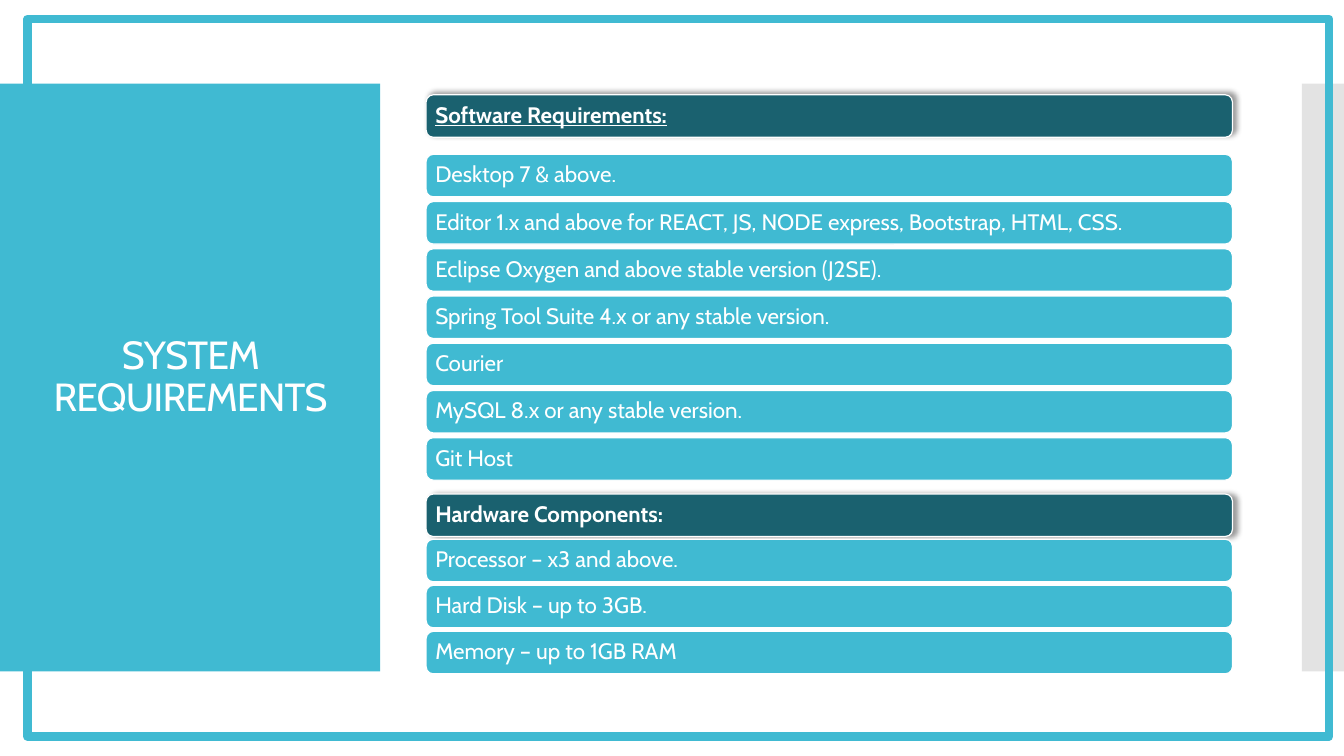
from collections import namedtuple
from dataclasses import dataclass

from lxml import etree
from pptx import Presentation
from pptx import util as u
from pptx.dml import color
from pptx.enum import shapes, text
from pptx.oxml import ns

Box = namedtuple("Box", "left top width height")
Group = namedtuple("Group", "heading underline shadow_angle box first_row pitch rows")


@dataclass(frozen=True)
class Theme:
    """Colours, typeface and sizes of the slide."""
    accent: str = "40BAD2"
    heading: str = "1A616F"
    edge: str = "C8C8C8"
    light: str = "FFFFFF"
    shadow: str = "000000"
    face: str = "Cabin"
    title_size: float = 28
    row_size: float = 16
    outline: float = 0.85
    frame: float = 6


THEME = Theme()

SOFTWARE = Group(
    "Software Requirements:", True, 315, Box(10.74, 2.39, 20.32, 1.07), 1.5, 1.19,
    ["Desktop 7 & above.",
     "Editor 1.x and above for REACT, JS, NODE express, Bootstrap, HTML, CSS.",
     "Eclipse Oxygen and above stable version (J2SE).",
     "Spring Tool Suite 4.x or any stable version.",
     "Courier",
     "MySQL 8.x or any stable version.",
     "Git Host"])
HARDWARE = Group(
    "Hardware Components:", False, 0, Box(10.74, 12.45, 20.32, 1.07), 1.14, 1.16,
    ["Processor – x3 and above.",
     "Hard Disk – up to 3GB.",
     "Memory – up to 1GB RAM"])


def rgb(value):
    """Return a colour object for a hex value."""
    return color.RGBColor.from_string(value)


def cm(box):
    """Return the four lengths of a box given in centimetres."""
    return [u.Cm(length) for length in box]


def add_block(slide, box, fill, kind=shapes.MSO_SHAPE.RECTANGLE):
    """Add a filled shape without outline or shadow."""
    block = slide.shapes.add_shape(kind, *cm(box))
    block.shadow.inherit = False
    block.fill.solid()
    block.fill.fore_color.rgb = rgb(fill)
    block.line.fill.background()
    return block


def format_text(paragraph, size):
    """Set the common type style on a paragraph."""
    paragraph.line_spacing = 0.9
    paragraph.font.name = THEME.face
    paragraph.font.size = u.Pt(size)
    paragraph.font.color.rgb = rgb(THEME.light)


def cast_shadow(bar, angle):
    """Give a heading bar a soft shadow in the given direction."""
    effects = bar.element.spPr.find(ns.qn("a:effectLst"))
    shadow = etree.SubElement(
        effects, ns.qn("a:outerShdw"), blurRad=str(u.Pt(4)), dist=str(u.Pt(3)),
        dir=str(angle * 60000), algn="ctr", rotWithShape="0")
    tint = etree.SubElement(shadow, ns.qn("a:srgbClr"), val=THEME.shadow)
    etree.SubElement(tint, ns.qn("a:alpha"), val="40000")


def add_bar(slide, box, wording, fill):
    """Add one rounded bar with its line of text."""
    bar = add_block(slide, box, fill, shapes.MSO_SHAPE.ROUNDED_RECTANGLE)
    bar.line.color.rgb = rgb(THEME.light)
    bar.line.width = u.Pt(THEME.outline)
    frame = bar.text_frame
    frame.word_wrap = True
    frame.vertical_anchor = text.MSO_ANCHOR.MIDDLE
    frame.margin_left = frame.margin_right = u.Cm(0.18)
    frame.margin_top = frame.margin_bottom = u.Cm(0.18)
    line = frame.paragraphs[0]
    line.text = wording
    line.alignment = text.PP_ALIGN.LEFT
    format_text(line, THEME.row_size)
    return bar


def add_group(slide, group):
    """Add a heading bar and evenly spaced requirement bars below it."""
    heading = add_bar(slide, group.box, group.heading, THEME.heading)
    font = heading.text_frame.paragraphs[0].font
    font.bold = True
    if group.underline:
        font.underline = True
    cast_shadow(heading, group.shadow_angle)
    for index, requirement in enumerate(group.rows):
        top = group.box.top + group.first_row + index * group.pitch
        add_bar(slide, group.box._replace(top=top), requirement, THEME.accent)


def add_title_panel(slide, box):
    """Add the coloured panel with the slide title centred on it."""
    title = slide.shapes.title
    panel = add_block(slide, box, THEME.accent)
    title.element.addprevious(panel.element)
    title.left, title.top, title.width, title.height = cm(
        Box(box.left + 0.71, box.top + 1.02, box.width - 1.4, box.height - 2.03))
    frame = title.text_frame
    frame.text = "SYSTEM REQUIREMENTS"
    frame.word_wrap = True
    frame.auto_size = text.MSO_AUTO_SIZE.NONE
    frame.vertical_anchor = text.MSO_ANCHOR.MIDDLE
    heading = frame.paragraphs[0]
    heading.alignment = text.PP_ALIGN.CENTER
    format_text(heading, THEME.title_size)
    heading.runs[0].font._element.set("spc", "-60")


def add_edge(slide, box):
    """Add the half-transparent strip at the right edge."""
    strip = add_block(slide, box, THEME.edge)
    tint = next(strip.element.spPr.iter(ns.qn("a:srgbClr")))
    etree.SubElement(tint, ns.qn("a:alpha"), val="50000")


def add_frame(slide, box):
    """Add the unfilled border around the slide."""
    border = add_block(slide, box, THEME.accent)
    border.fill.background()
    border.line.color.rgb = rgb(THEME.accent)
    border.line.width = u.Pt(THEME.frame)


def main():
    """Build and save the system requirements slide."""
    deck = Presentation()
    deck.slide_width, deck.slide_height = u.Cm(33.87), u.Cm(19.05)
    slide = deck.slides.add_slide(deck.slide_layouts.get_by_name("Title Only"))
    add_title_panel(slide, Box(0, 2.11, 9.58, 14.81))
    add_edge(slide, Box(32.81, 2.11, 1.06, 14.81))
    for group in (SOFTWARE, HARDWARE):
        add_group(slide, group)
    add_frame(slide, Box(0.69, 0.48, 32.81, 18.08))
    deck.save("out.pptx")


if __name__ == "__main__":
    main()
